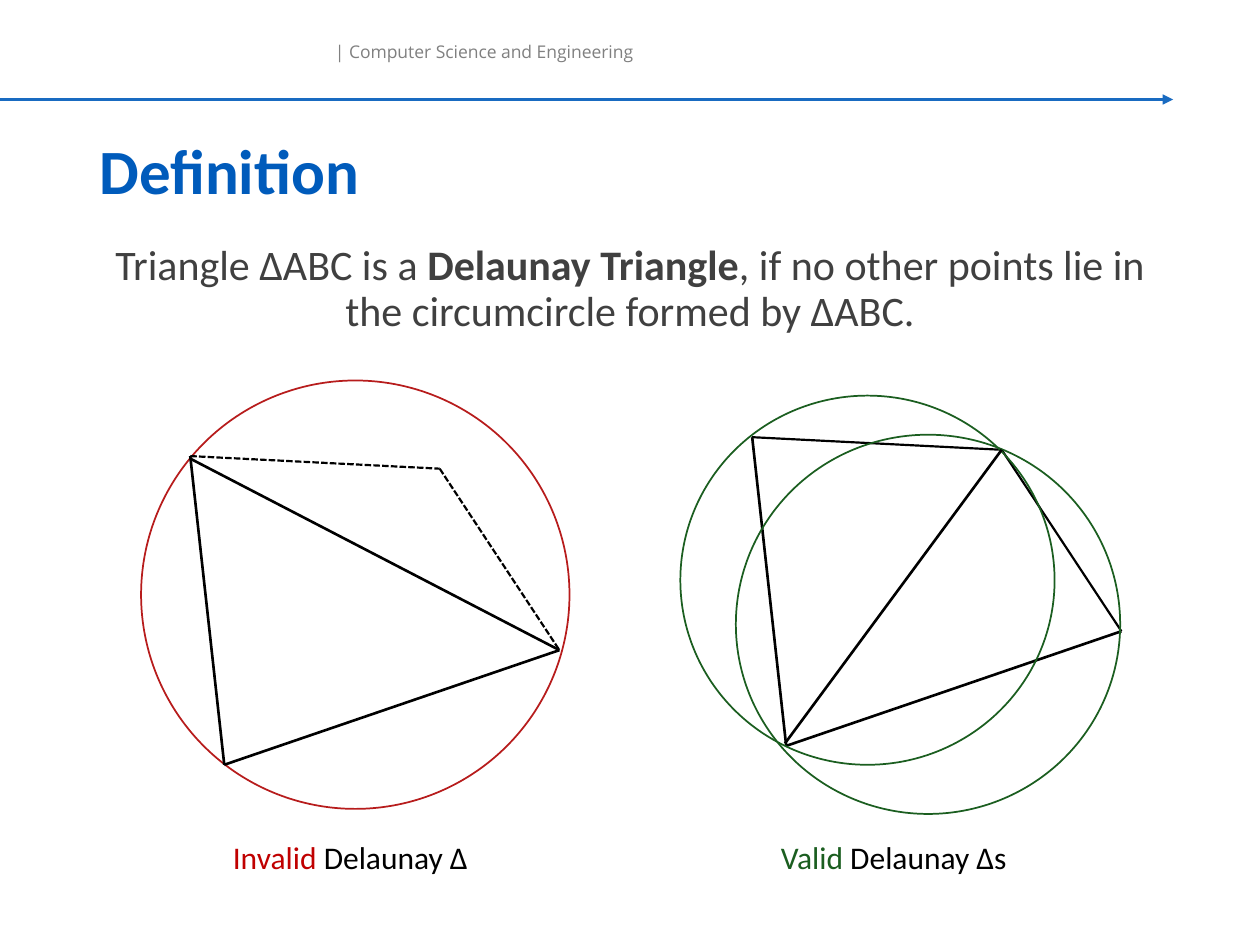
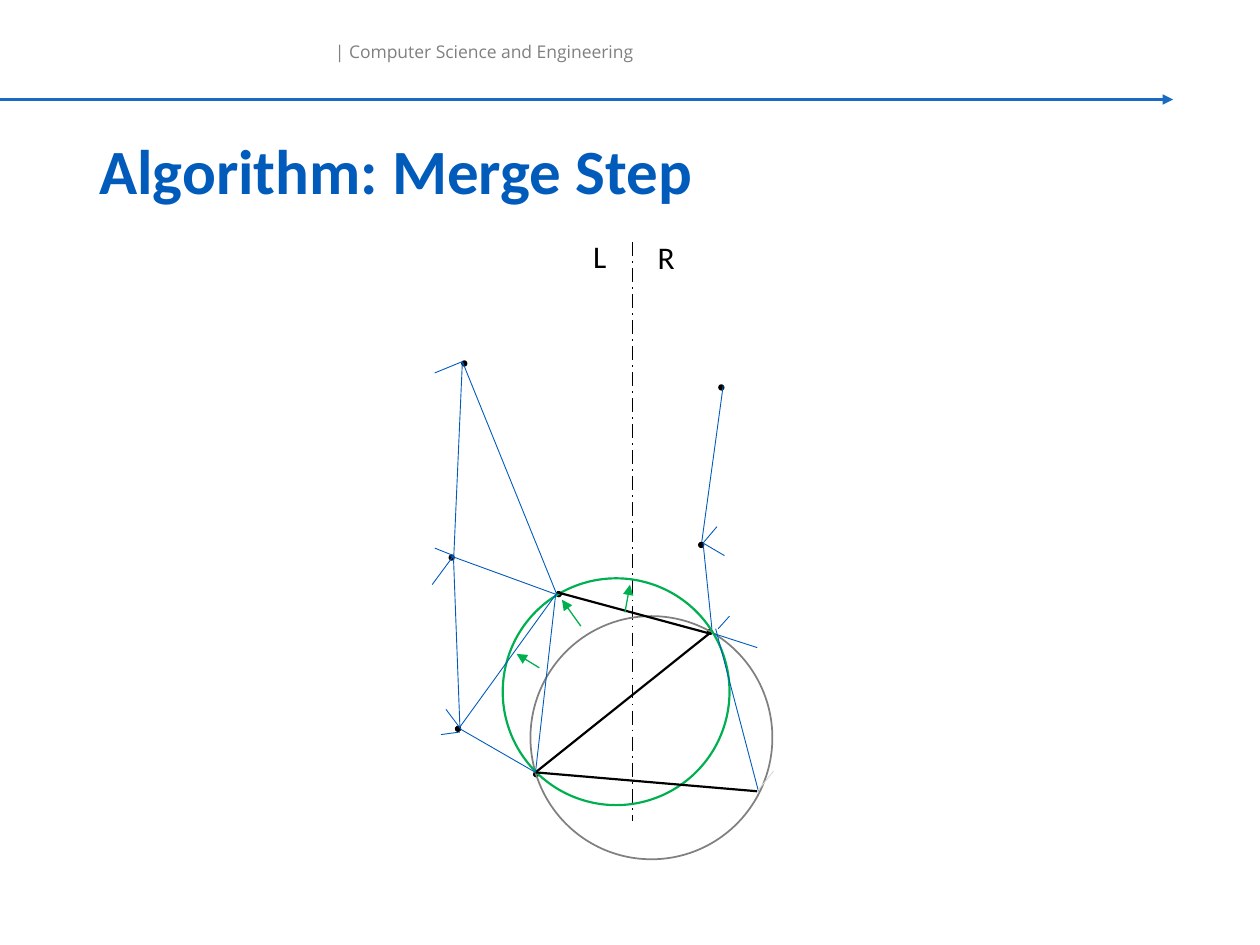
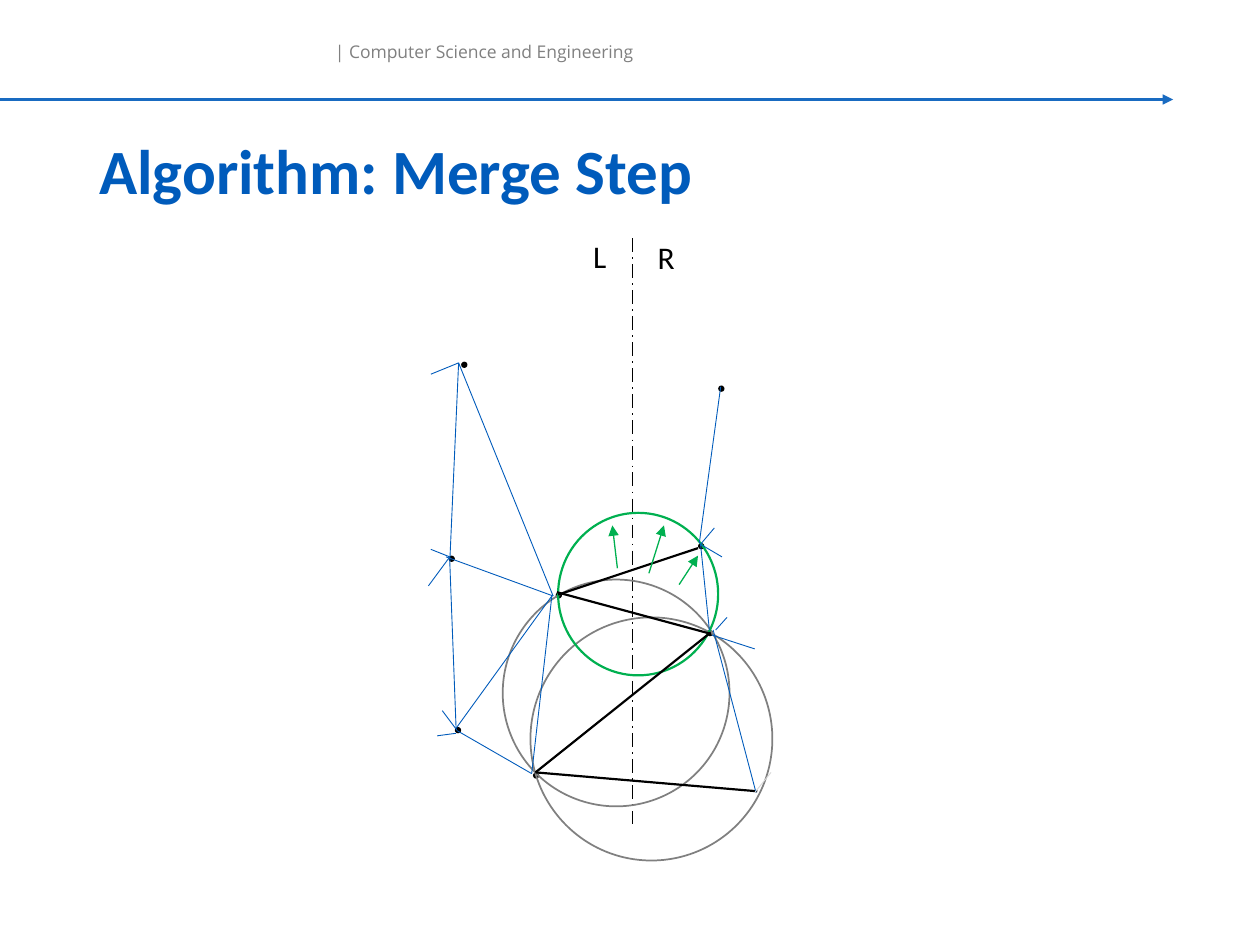
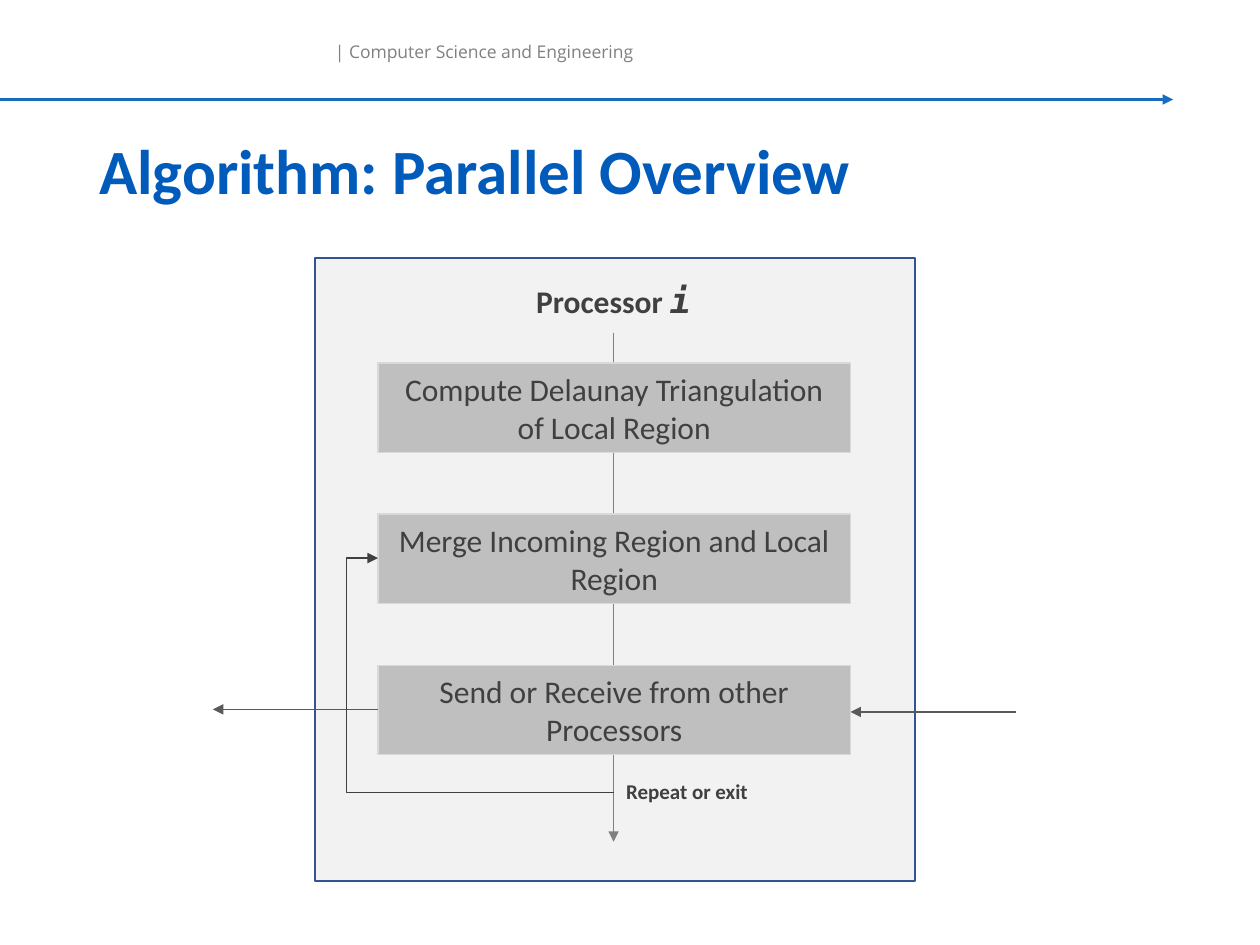
from dataclasses import dataclass
from typing import NamedTuple, Optional

from lxml.etree import SubElement
from pptx import Presentation
from pptx.dml.color import RGBColor
from pptx.enum.dml import MSO_LINE
from pptx.enum.shapes import MSO_CONNECTOR, MSO_SHAPE
from pptx.enum.text import MSO_ANCHOR, MSO_AUTO_SIZE, PP_ALIGN
from pptx.oxml.ns import qn
from pptx.util import Emu, Pt

PX = 9144

BLUE = RGBColor(0x00, 0x5B, 0xBB)
BLACK = RGBColor(0x00, 0x00, 0x00)
INK = RGBColor(0x40, 0x40, 0x40)
DARK_GREY = RGBColor(0x59, 0x59, 0x59)
GREY = RGBColor(0x80, 0x80, 0x80)
MID_GREY = RGBColor(0xBF, 0xBF, 0xBF)
LIGHT_GREY = RGBColor(0xD9, 0xD9, 0xD9)
PANEL_GREY = RGBColor(0xF2, 0xF2, 0xF2)
PANEL_EDGE = RGBColor(0x32, 0x54, 0x91)
GREEN = RGBColor(0x00, 0xB0, 0x50)
DARK_GREEN = RGBColor(0x1B, 0x5E, 0x20)
RED = RGBColor(0xC0, 0x00, 0x00)
CIRCLE_RED = RGBColor(0xB7, 0x1C, 0x1C)


class Box(NamedTuple):
    x: int
    y: int
    w: int
    h: int

    def shift(self, dx: int, dy: int) -> "Box":
        return Box(self.x + dx, self.y + dy, self.w, self.h)


class Segment(NamedTuple):
    x1: int
    y1: int
    x2: int
    y2: int

    def shift(self, dx: int, dy: int) -> "Segment":
        return Segment(self.x1 + dx, self.y1 + dy, self.x2 + dx, self.y2 + dy)


@dataclass(frozen=True)
class Stroke:
    color: RGBColor
    width: float
    dash: Optional[MSO_LINE] = None
    arrow: bool = False
    opacity: int = 100


@dataclass(frozen=True)
class Span:
    text: str
    size: int
    color: RGBColor = INK
    bold: bool = False
    italic: bool = False
    font: str = "Calibri"


@dataclass(frozen=True)
class MergeStep:
    divider: Segment
    dy: int
    left_shift: tuple[int, int]
    right_shift: tuple[int, int]
    circles: list[tuple[Box, Stroke]]
    edges: list[Segment]
    arrows: list[Segment]


HEADER_RULE = Stroke(BLUE, 1.5, arrow=True, opacity=90)
SOLID = Stroke(BLACK, 1.5)
THIN = Stroke(BLACK, 1.25)
DASHED = Stroke(BLACK, 1.25, MSO_LINE.SQUARE_DOT)
DIVIDER = Stroke(BLACK, 1, MSO_LINE.LONG_DASH_DOT)
MESH = Stroke(BLUE, 0.5)
FADED = Stroke(LIGHT_GREY, 0.5)
POINTER = Stroke(GREEN, 0.75, arrow=True)
OLD_CIRCLE = Stroke(GREY, 1)
NEW_CIRCLE = Stroke(GREEN, 1.25)
FLOW = Stroke(GREY, 1, arrow=True)
MESSAGE = Stroke(DARK_GREY, 1, arrow=True)
LOOP = Stroke(INK, 1, arrow=True)

DOT_SIZE = 5
DOTS = [(423, 612), (561, 499), (554, 430), (570, 305),
        (361, 576), (356, 440), (366, 286), (441, 469)]
LEFT_MESH = [
    Segment(367, 287, 442, 472), Segment(357, 441, 442, 472),
    Segment(367, 287, 360, 445), Segment(441, 472, 365, 577),
    Segment(441, 472, 425, 613), Segment(425, 613, 366, 579),
    Segment(365, 577, 360, 445), Segment(367, 287, 345, 296),
    Segment(360, 441, 345, 435), Segment(360, 441, 343, 464),
    Segment(366, 579, 354, 563), Segment(365, 581, 350, 583),
]
RIGHT_MESH = [
    Segment(574, 306, 557, 430), Segment(558, 431, 565, 499),
    Segment(568, 499, 602, 628), Segment(570, 499, 579, 489),
    Segment(558, 431, 575, 441), Segment(558, 431, 569, 418),
    Segment(567, 503, 601, 514),
]
RIGHT_STUB = Segment(601, 628, 614, 612)

LOWER_CIRCLE = Box(421, 489, 192, 193)
MIDDLE_CIRCLE = Box(399, 459, 180, 180)
UPPER_CIRCLE = Box(443, 407, 127, 129)
MERGE_EDGES = [Segment(425, 613, 601, 628), Segment(425, 613, 564, 502),
               Segment(442, 470, 564, 503)]

MERGE_STEPS = [
    MergeStep(
        Segment(502, 192, 502, 652), 0, (0, 0), (0, 0),
        [(LOWER_CIRCLE, OLD_CIRCLE), (MIDDLE_CIRCLE, NEW_CIRCLE)],
        MERGE_EDGES,
        [Segment(461, 497, 446, 476), Segment(428, 530, 410, 519),
         Segment(496, 486, 500, 464)],
    ),
    MergeStep(
        Segment(502, 189, 502, 654), 1, (-3, 1), (-2, 1),
        [(LOWER_CIRCLE.shift(0, 1), OLD_CIRCLE),
         (MIDDLE_CIRCLE.shift(0, 1), OLD_CIRCLE),
         (UPPER_CIRCLE, NEW_CIRCLE)],
        MERGE_EDGES + [Segment(443, 472, 554, 435)],
        [Segment(515, 455, 527, 417), Segment(490, 451, 486, 417),
         Segment(539, 464, 554, 441)],
    ),
]


def emu(*lengths: int) -> list[Emu]:
    return [Emu(n * PX) for n in lengths]


def style_line(line, stroke: Stroke) -> None:
    line.color.rgb = stroke.color
    line.width = Pt(stroke.width)
    if stroke.dash:
        line.dash_style = stroke.dash


def add_line(s, seg: Segment, stroke: Stroke, kind=MSO_CONNECTOR.STRAIGHT):
    c = s.shapes.add_connector(kind, *emu(*seg))
    style_line(c.line, stroke)
    sp_pr = c._element.spPr
    ln = sp_pr.find(qn("a:ln"))
    if stroke.opacity < 100:
        alpha = SubElement(next(ln.iter(qn("a:srgbClr"))), qn("a:alpha"))
        alpha.set("val", str(stroke.opacity * 1000))
    if stroke.arrow:
        SubElement(ln, qn("a:tailEnd")).set("type", "triangle")
    SubElement(sp_pr, qn("a:effectLst"))
    return c


def add_lines(s, segs: list[Segment], stroke: Stroke) -> None:
    for seg in segs:
        add_line(s, seg, stroke)


def add_preset(s, kind: MSO_SHAPE, box: Box, fill: Optional[RGBColor] = None,
               stroke: Optional[Stroke] = None):
    sp = s.shapes.add_shape(kind, *emu(*box))
    sp.shadow.inherit = False
    if fill is None:
        sp.fill.background()
    else:
        sp.fill.solid()
        sp.fill.fore_color.rgb = fill
    if stroke is None:
        sp.line.fill.background()
    else:
        style_line(sp.line, stroke)
    return sp


def write(sp, spans: list[Span], align: PP_ALIGN = PP_ALIGN.LEFT,
          anchor: MSO_ANCHOR = MSO_ANCHOR.TOP, grow: bool = True):
    tf = sp.text_frame
    tf.word_wrap = True
    tf.vertical_anchor = anchor
    tf.auto_size = MSO_AUTO_SIZE.SHAPE_TO_FIT_TEXT if grow else MSO_AUTO_SIZE.NONE
    p = tf.paragraphs[0]
    p.alignment = align
    for span in spans:
        r = p.add_run()
        r.text = span.text
        r.font.name = span.font
        r.font.size = Pt(span.size)
        r.font.bold = span.bold
        r.font.italic = span.italic
        r.font.color.rgb = span.color
    return p


def add_text(s, box: Box, spans: list[Span], **layout):
    return write(s.shapes.add_textbox(*emu(*box)), spans, **layout)


def add_slide(prs, title: str):
    s = prs.slides.add_slide(prs.slide_layouts[6])
    add_line(s, Segment(0, 79, 931, 79), HEADER_RULE)
    add_text(s, Box(256, 28, 405, 27),
             [Span("| Computer Science and Engineering", 10, GREY, font="Open Sans")])
    p = add_text(s, Box(69, 94, 862, 89), [Span(title, 36, BLUE, bold=True)],
                 anchor=MSO_ANCHOR.MIDDLE, grow=False)
    p.line_spacing = 0.9
    return s


def add_definition(prs) -> None:
    s = add_slide(prs, "Definition")
    p = add_text(s, Box(69, 189, 862, 498), [
        Span("Triangle ΔABC is a ", 24),
        Span("Delaunay Triangle", 24, bold=True),
        Span(", if no other points lie in the circumcircle formed by ΔABC.", 24),
    ], align=PP_ALIGN.CENTER, grow=False)
    p.line_spacing = 0.9
    p.space_before = Pt(10)

    sides = [Segment(151, 362, 178, 607), Segment(178, 607, 444, 516)]
    far_sides = [Segment(151, 362, 349, 372), Segment(349, 372, 444, 516)]
    to_valid = (446, -15)

    add_preset(s, MSO_SHAPE.OVAL, Box(112, 302, 340, 340),
               stroke=Stroke(CIRCLE_RED, 1))
    add_lines(s, sides + [Segment(444, 516, 151, 364)], SOLID)
    add_lines(s, far_sides, DASHED)

    add_lines(s, [seg.shift(*to_valid) for seg in sides], SOLID)
    add_lines(s, [seg.shift(*to_valid) for seg in far_sides], THIN)
    for circle in (Box(540, 314, 297, 293), Box(584, 345, 305, 301)):
        add_preset(s, MSO_SHAPE.OVAL, circle, stroke=Stroke(DARK_GREEN, 1))
    add_line(s, Segment(623, 590, 795, 357), SOLID)

    for x, verdict, color, noun in ((175, "Invalid", RED, " Delaunay Δ"),
                                    (610, "Valid", DARK_GREEN, " Delaunay Δs")):
        add_text(s, Box(x, 660, 214, 40),
                 [Span(verdict, 18, color), Span(noun, 18, BLACK)])


def add_merge_step(prs, step: MergeStep) -> None:
    s = add_slide(prs, "Algorithm: Merge Step")
    add_line(s, step.divider, DIVIDER)
    for x, y in DOTS:
        add_preset(s, MSO_SHAPE.OVAL, Box(x, y + step.dy, DOT_SIZE, DOT_SIZE), BLACK)
    for circle, stroke in step.circles:
        add_preset(s, MSO_SHAPE.OVAL, circle, stroke=stroke)
    add_lines(s, step.edges, THIN)
    add_lines(s, step.arrows, POINTER)
    add_lines(s, [seg.shift(*step.left_shift) for seg in LEFT_MESH], MESH)
    add_lines(s, [seg.shift(*step.right_shift) for seg in RIGHT_MESH], MESH)
    add_line(s, RIGHT_STUB.shift(*step.right_shift), FADED)
    for x, y, side in ((461, 183, "L"), (512, 184, "R")):
        add_text(s, Box(x, y, 42, 40), [Span(side, 18, BLACK)])


def add_overview(prs) -> None:
    s = add_slide(prs, "Algorithm: Parallel Overview")
    add_preset(s, MSO_SHAPE.RECTANGLE, Box(250, 205, 476, 494), PANEL_GREY,
               Stroke(PANEL_EDGE, 1))
    add_line(s, Segment(487, 264, 487, 668), FLOW)
    add_text(s, Box(342, 216, 290, 44), [
        Span("Processor ", 18, bold=True),
        Span("i", 20, bold=True, italic=True, font="DejaVu Sans Mono"),
    ], align=PP_ALIGN.CENTER)

    stages = ["Compute Delaunay Triangulation of Local Region",
              "Merge Incoming Region and Local Region",
              "Send or Receive from other Processors"]
    for i, stage in enumerate(stages):
        sp = add_preset(s, MSO_SHAPE.RECTANGLE, Box(300, 288 + 120 * i, 375, 71),
                        MID_GREY, Stroke(LIGHT_GREY, 0.75))
        write(sp, [Span(stage, 18)], PP_ALIGN.CENTER, MSO_ANCHOR.MIDDLE)

    add_lines(s, [Segment(300, 563, 169, 563), Segment(806, 565, 675, 565)], MESSAGE)
    loop = add_line(s, Segment(487, 629, 300, 443), LOOP, MSO_CONNECTOR.ELBOW)
    guide = SubElement(next(loop._element.iter(qn("a:avLst"))), qn("a:gd"))
    guide.set("name", "adj1")
    guide.set("fmla", "val 113300")
    add_text(s, Box(487, 613, 132, 30), [Span("Repeat or exit", 12, bold=True)])


def main() -> None:
    prs = Presentation()
    prs.slide_width, prs.slide_height = emu(1000, 750)
    add_definition(prs)
    for step in MERGE_STEPS:
        add_merge_step(prs, step)
    add_overview(prs)
    prs.save("out.pptx")


if __name__ == "__main__":
    main()
